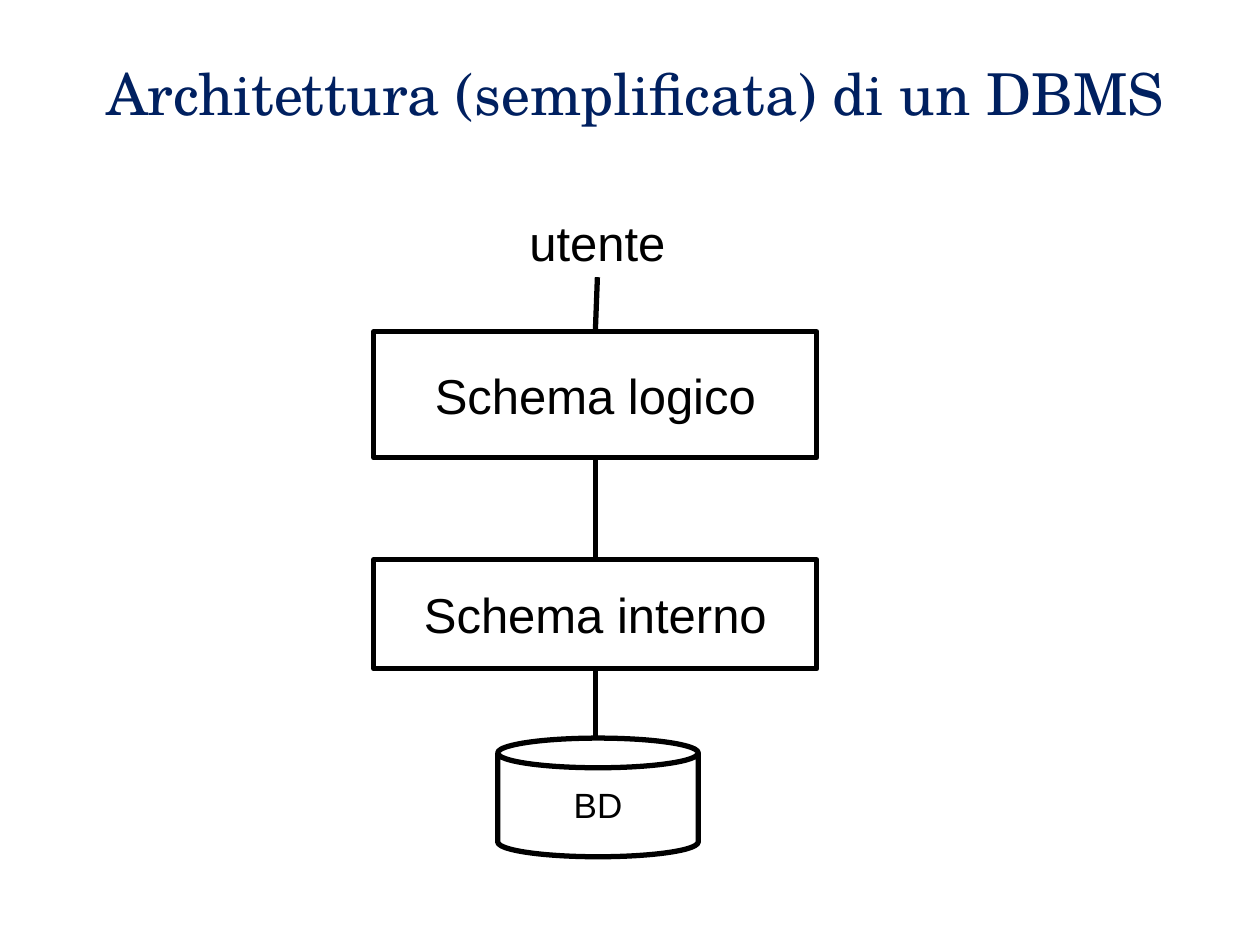
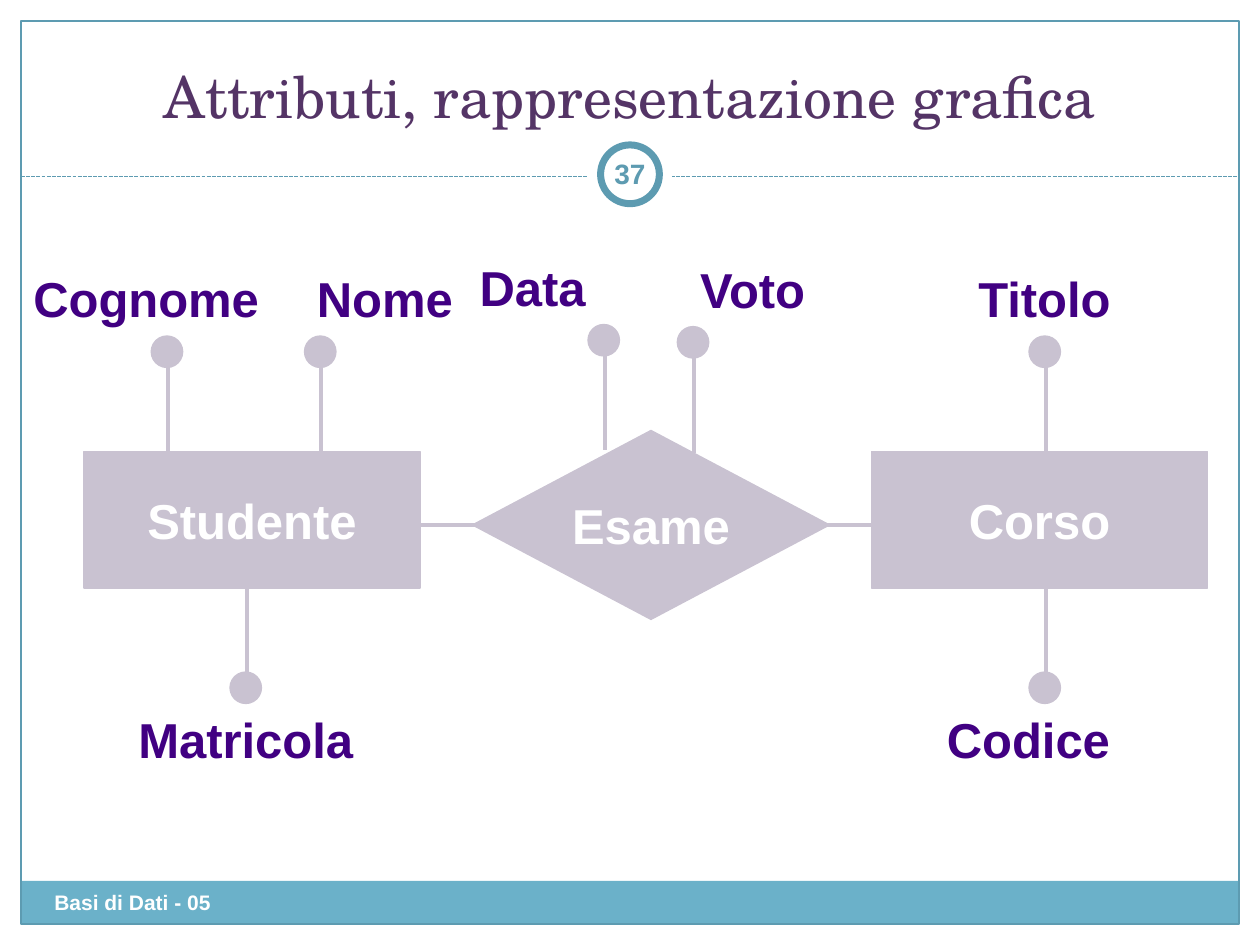
from lxml import etree
from pptx import Presentation
from pptx import util as u
from pptx.dml.color import RGBColor
from pptx.enum import dml, shapes, text
from pptx.oxml import ns

COLORS = {
    "white": "FFFFFF", "black": "000000", "navy": "002060", "plum": "543466",
    "teal": "5D9BB1", "band": "6BB1C9", "lilac": "C9C2D1", "violet": "410082",
}
COLUMNS, ROWS = 120, 90
TITLE_FONT, BODY_FONT = "TeX Gyre Schola", "Arial"
TITLE_SIZE, LABEL_SIZE = 33, 28
CENTER, LEFT = text.PP_ALIGN.CENTER, text.PP_ALIGN.LEFT
TOP, MIDDLE, BOTTOM = (text.MSO_ANCHOR.TOP, text.MSO_ANCHOR.MIDDLE,
                       text.MSO_ANCHOR.BOTTOM)
SHAPE = shapes.MSO_SHAPE


class Sketch:
    """Draws styled elements on the current page, in grid columns and rows."""

    def __init__(self, deck):
        self.deck = deck
        self.page = None

    def place(self, column, row):
        return (round(self.deck.slide_width * column / COLUMNS),
                round(self.deck.slide_height * row / ROWS))

    def color(self, name):
        return RGBColor.from_string(COLORS[name])

    def put_text(self, shape, words, size, color, bold=False, align=CENTER,
                 anchor=MIDDLE, font=BODY_FONT, wrap=False):
        frame = shape.text_frame
        frame.auto_size = text.MSO_AUTO_SIZE.NONE
        frame.word_wrap = wrap
        frame.vertical_anchor = anchor
        para = frame.paragraphs[0]
        para.alignment = align
        span = para.add_run()
        span.text = words
        span.font.name = font
        span.font.size = u.Pt(size)
        span.font.bold = bold
        span.font.color.rgb = self.color(color)

    def start_page(self, title, color, column, row, width, height):
        self.page = self.deck.slides.add_slide(self.deck.slide_layouts[5])
        heading = self.page.shapes.title
        heading.left, heading.top = self.place(column, row)
        heading.width, heading.height = self.place(width, height)
        self.put_text(heading, title, TITLE_SIZE, color, anchor=BOTTOM,
                      font=TITLE_FONT, wrap=True)

    def block(self, kind, column, row, width, height, fill=None, line=None,
              weight=0.75):
        shape = self.page.shapes.add_shape(
            kind, *self.place(column, row), *self.place(width, height))
        shape.shadow.inherit = False
        if fill:
            shape.fill.solid()
            shape.fill.fore_color.rgb = self.color(fill)
        else:
            shape.fill.background()
        if line:
            shape.line.color.rgb = self.color(line)
            shape.line.width = u.Pt(weight)
        else:
            shape.line.fill.background()
        return shape

    def label(self, words, column, row, width, height=6.8, size=LABEL_SIZE,
              color="violet", inset=None, **style):
        box = self.page.shapes.add_textbox(
            *self.place(column, row), *self.place(width, height))
        if inset is not None:
            box.text_frame.margin_left = u.Inches(inset)
            box.text_frame.margin_right = u.Inches(inset)
        self.put_text(box, words, size, color, **style)
        return box

    def line(self, start, end, color, weight, dash=None, above=None, below=None):
        link = self.page.shapes.add_connector(
            shapes.MSO_CONNECTOR.STRAIGHT, *self.place(*start), *self.place(*end))
        link.line.color.rgb = self.color(color)
        link.line.width = u.Pt(weight)
        if dash:
            link.line.dash_style = dash
        etree.SubElement(link._element.spPr, ns.qn("a:effectLst"))
        if above is not None:
            link.begin_connect(above, 2)
        if below is not None:
            link.end_connect(below, 0)

    def schema(self, words, row, height):
        box = self.block(SHAPE.RECTANGLE, 35.6, row, 42.2, height,
                         "white", "black", 3)
        self.put_text(box, words, LABEL_SIZE, "black")
        return box

    def concept(self, kind, words, column, row, width, height):
        box = self.block(kind, column, row, width, height, "lilac", "lilac")
        self.put_text(box, words, LABEL_SIZE, "white", bold=True)

    def attribute(self, words, column, row, label_column, width, upward=True):
        stem, dot = 9, 3
        inner = row + stem if upward else row - stem
        self.line((column, row), (column, inner), "lilac", 2.25)
        self.block(SHAPE.OVAL, column - 1.6, row - dot if upward else row,
                   dot, dot, "lilac", "lilac")
        self.label(words, label_column, row - 10 if upward else row + 3, width,
                   bold=True, align=LEFT, anchor=TOP)

    def frame(self, footer, number):
        self.block(SHAPE.RECTANGLE, 2, 83.9, 116, 4.1, "band")
        self.block(SHAPE.RECTANGLE, 2, 2, 116, 86, line="teal")
        self.line((2, 16.8), (118, 16.8), "teal", 0.75,
                  dml.MSO_LINE.SQUARE_DOT)
        for size, line in ((8, None), (5.6, "teal")):
            self.block(SHAPE.OVAL, 60 - size / 2, 16.6 - size / 2, size, size,
                       "white", line, 4)
        self.label(footer, 4, 84.1, 47, 4.8, 12, "white", bold=True,
                   align=LEFT, anchor=TOP, wrap=True)
        self.label(number, 57, 13.6, 6, 5.8, 16, "teal", 0.05, bold=True,
                   wrap=True)


def draw_architecture(sketch):
    sketch.start_page("Architettura (semplificata) di un DBMS", "navy",
                      6, 1.9, 109, 10.8)
    axis = 56.7
    store = sketch.block(SHAPE.CAN, 47.4, 70.3, 19.1, 11.3, "white", "black", 3)
    sketch.put_text(store, "BD", 20, "black")
    logical = sketch.schema("Schema logico", 31.6, 12)
    internal = sketch.schema("Schema interno", 53.3, 10.4)
    user = sketch.label("utente", 49.2, 19.6, 15.4, color="black", anchor=TOP)
    for top, bottom, above, below in (
            (26.4, 31.6, user, logical),
            (43.6, 53.3, logical, internal),
            (63.7, 70.3, internal, None)):
        sketch.line((axis, top), (axis, bottom), "black", 3,
                    above=above, below=below)


def draw_attributes(sketch):
    sketch.start_page("Attributi, rappresentazione grafica", "plum",
                      4, 3, 112, 10)
    sketch.frame("Basi di Dati - 05", "37")
    sketch.line((36, 50), (85, 50), "lilac", 2.25)
    sketch.concept(SHAPE.DIAMOND, "Esame", 45, 41, 34, 18)
    for words, column in (("Studente", 8), ("Corso", 83)):
        sketch.concept(SHAPE.RECTANGLE, words, column, 43, 32, 13)
    for words, column, row, label_column, width, upward in (
            ("Cognome", 16, 35, 2, 23.9, True),
            ("Nome", 30.6, 35, 29, 15.4, True),
            ("Matricola", 23.5, 64, 12, 22.8, False),
            ("Data", 57.6, 33.9, 44.5, 12.5, True),
            ("Titolo", 99.6, 35, 92, 15, True),
            ("Codice", 99.6, 64, 89, 17.9, False),
            ("Voto", 66.1, 34.1, 65.5, 12.7, True)):
        sketch.attribute(words, column, row, label_column, width, upward)


def main():
    deck = Presentation()
    deck.slide_width, deck.slide_height = u.Inches(10), u.Inches(7.5)
    sketch = Sketch(deck)
    draw_architecture(sketch)
    draw_attributes(sketch)
    deck.save("out.pptx")


if __name__ == "__main__":
    main()
